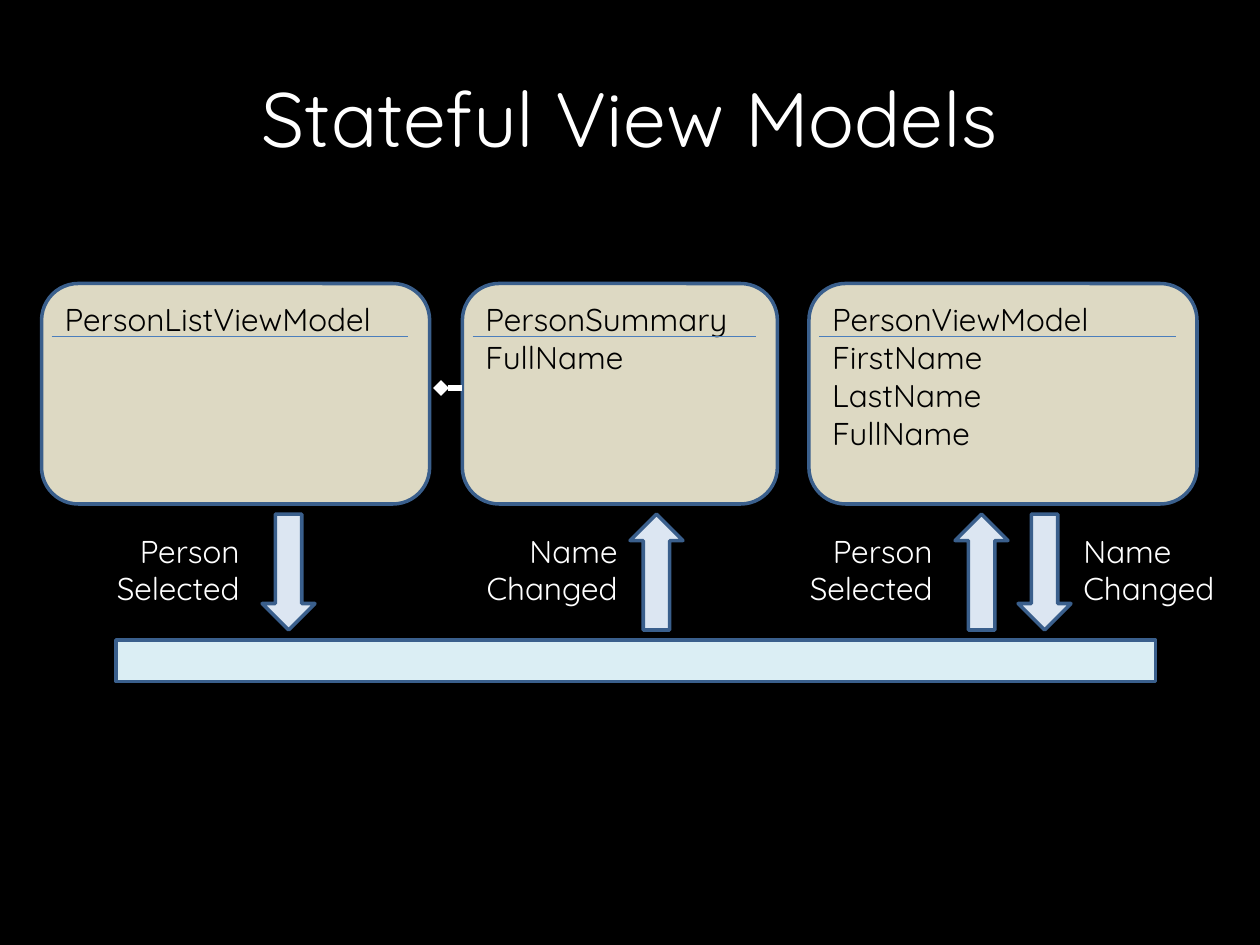
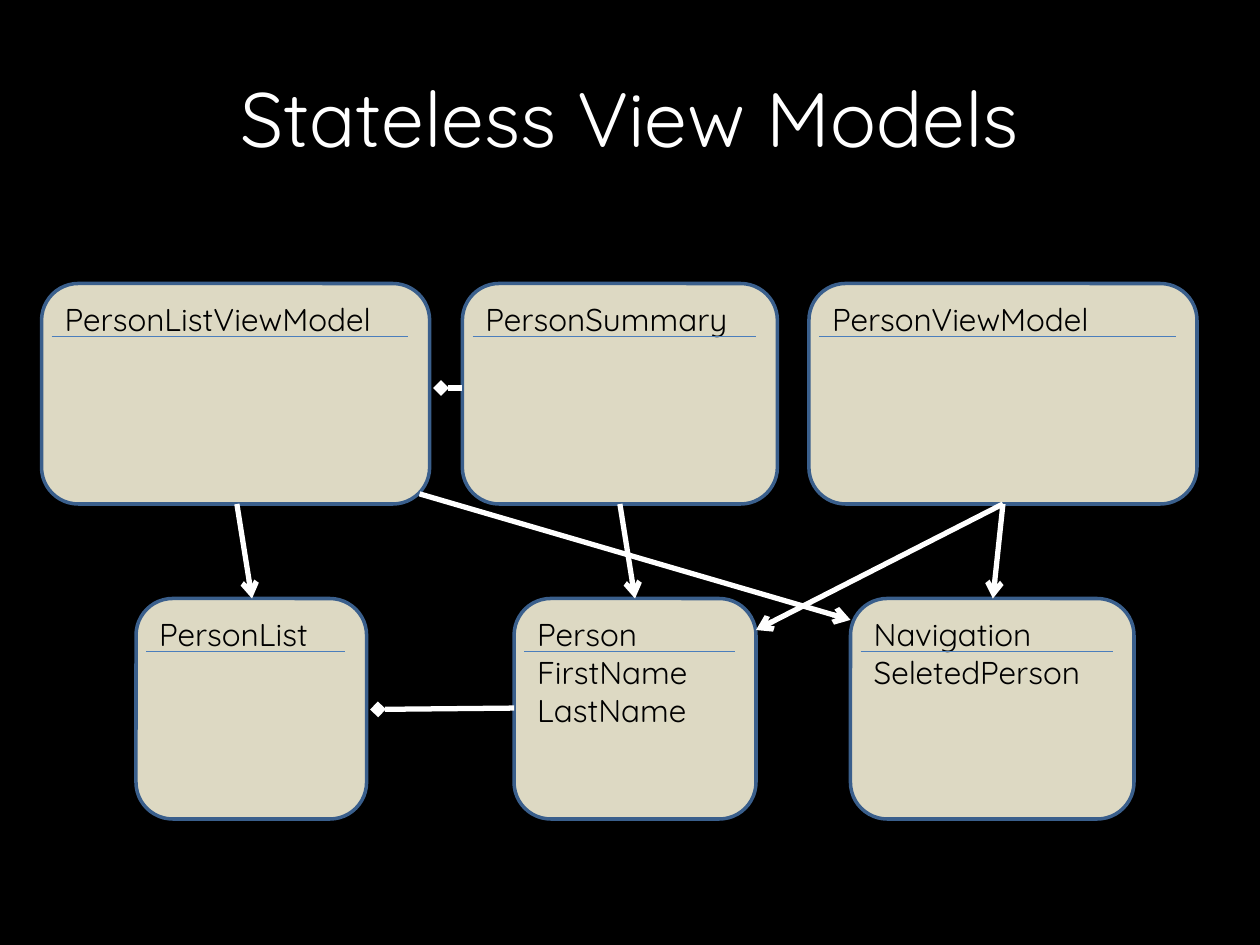
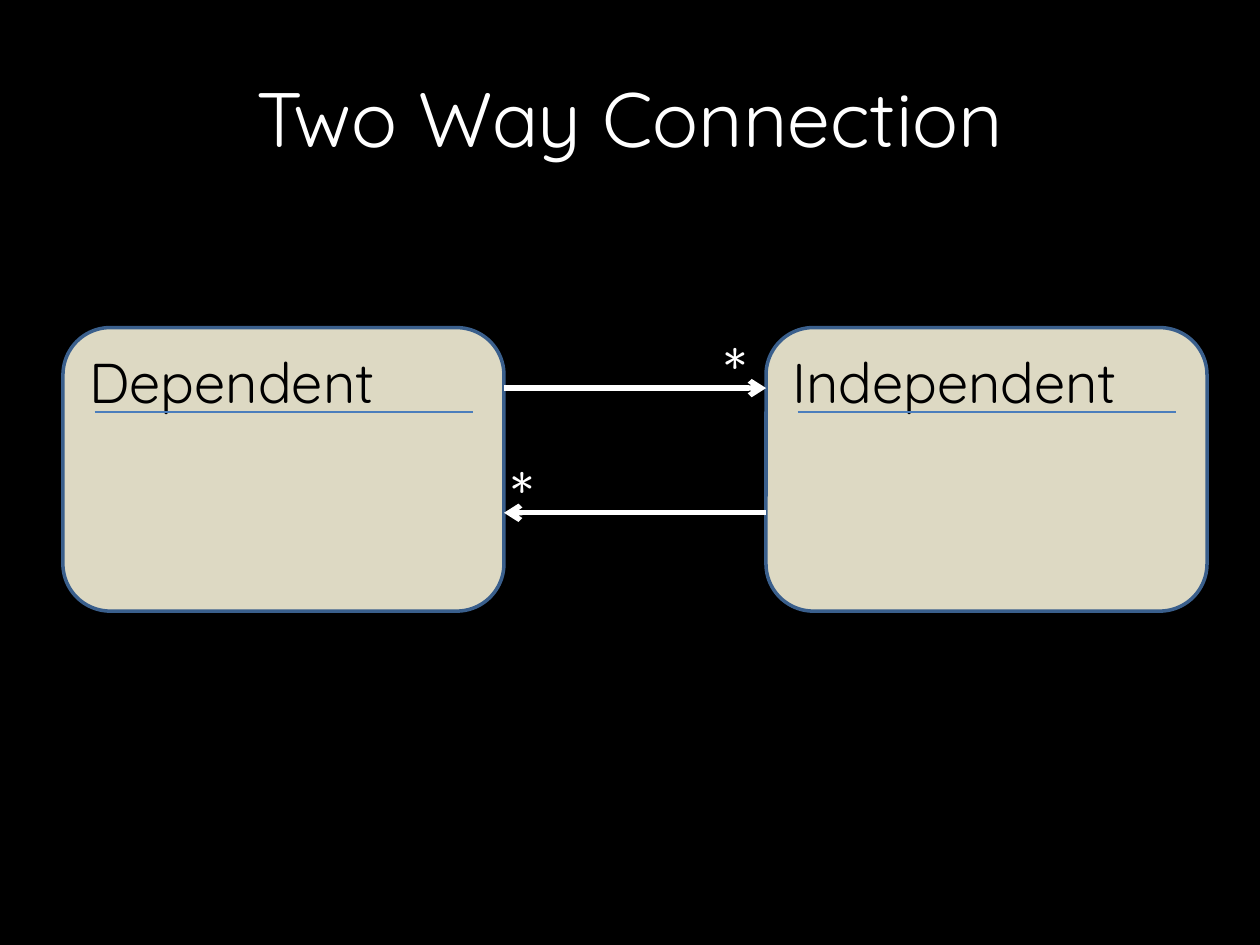
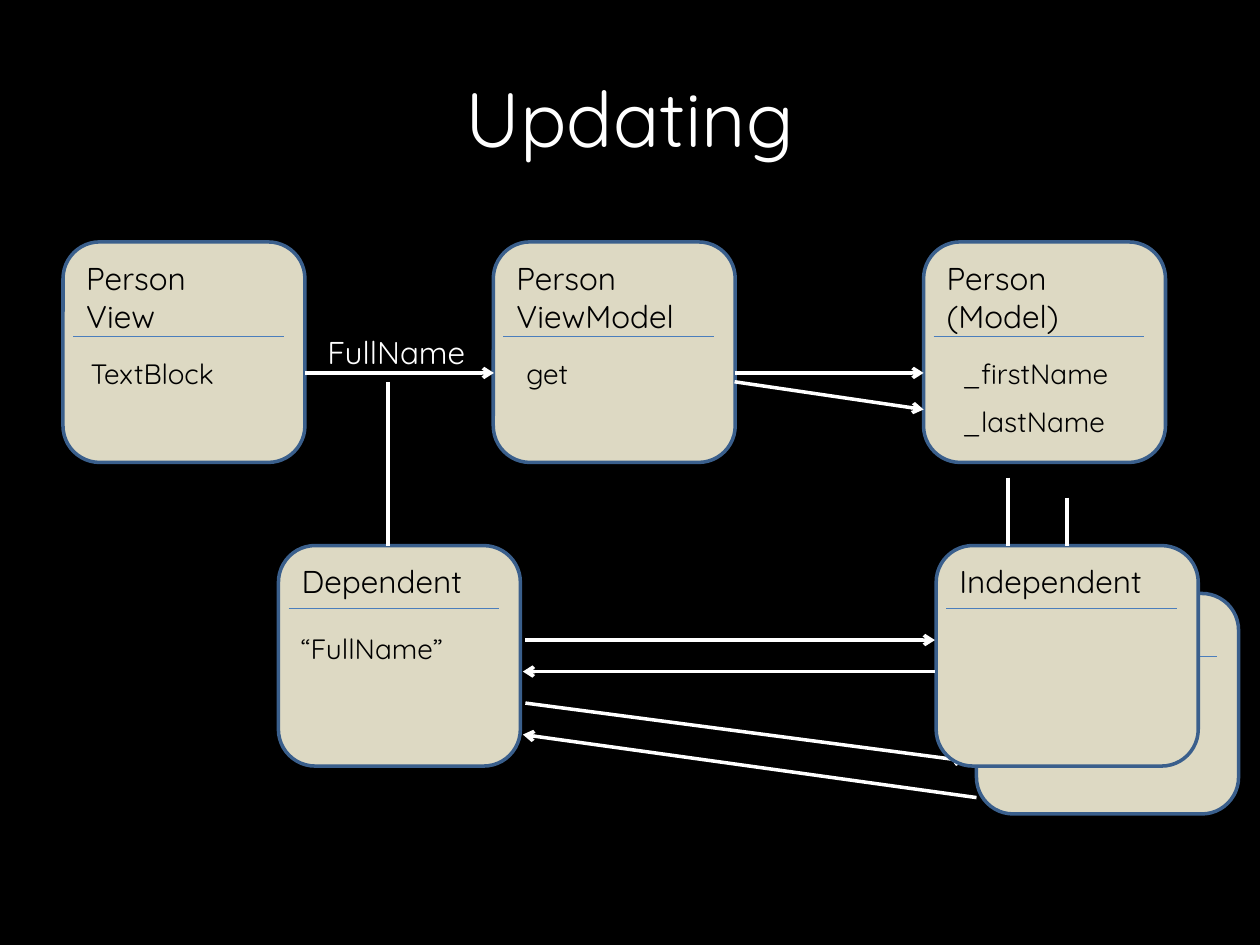
"""Build four slides that compare view models and explain dependency updates."""
from dataclasses import dataclass
from typing import Any, Sequence

import pptx
import pptx.dml.color
import pptx.enum.shapes
import pptx.enum.text
import pptx.oxml
import pptx.oxml.ns
import pptx.util

Inches = pptx.util.Inches
Pt = pptx.util.Pt
SHAPE = pptx.enum.shapes.MSO_SHAPE
ALIGN = pptx.enum.text.PP_ALIGN
ANCHOR = pptx.enum.text.MSO_ANCHOR

FONT = "Quicksand"
COLORS = {
    "background": "000000",
    "light": "FFFFFF",
    "dark": "000000",
    "box": "DDD9C3",
    "outline": "3A5F8C",
    "rule": "4B7EBC",
    "bus": "DBEEF4",
    "message": "DCE6F2",
}
TOP_ROW, MODEL_ROW = 2.25, 4.75
UPDATE_ROW, TRACK_ROW = 1.92, 4.33
BOX_HEIGHT = 1.75


@dataclass
class Box:
    left: float
    top: float
    width: float
    lines: Sequence[str]
    height: float = BOX_HEIGHT
    size: int = 18
    rule_drop: float = 0.42
    rule_start: float = 0.08
    rule_end: float = 0.17


@dataclass
class Link:
    x1: float
    y1: float
    x2: float
    y2: float
    head: str = ""
    tail: str = ""
    width: float = 3
    color: str = "light"


@dataclass
class Label:
    left: float
    top: float
    width: float
    height: float
    text: str
    size: int = 18
    color: str = "light"
    align: Any = ALIGN.LEFT
    fitted: bool = False


@dataclass
class Message:
    left: float
    label_left: float
    text: str
    up: bool = False
    align: Any = ALIGN.RIGHT


def rgb(name: str) -> Any:
    return pptx.dml.color.RGBColor.from_string(COLORS[name])


def write(tf: Any, lines: Sequence[str], *, size: int, color: str,
          align: Any = ALIGN.LEFT, anchor: Any = ANCHOR.TOP, wrap: bool = True) -> None:
    tf.word_wrap = wrap
    tf.vertical_anchor = anchor
    for i, line in enumerate(lines):
        p = tf.paragraphs[0] if i == 0 else tf.add_paragraph()
        p.alignment = align
        r = p.add_run()
        r.text = line
        r.font.name = FONT
        r.font.size = Pt(size)
        r.font.color.rgb = rgb(color)


def add_slide(prs: Any, title: str) -> Any:
    s = prs.slides.add_slide(prs.slide_layouts[5])
    sp = s.shapes.title
    sp.left, sp.top, sp.width, sp.height = map(Inches, (0.5, 0.3, 9, 1.25))
    write(sp.text_frame, [title], size=44, color="light",
          align=ALIGN.CENTER, anchor=ANCHOR.MIDDLE)
    return s


def draw_shape(s: Any, kind: Any, left: float, top: float, width: float,
               height: float, fill: str) -> Any:
    sp = s.shapes.add_shape(kind, *map(Inches, (left, top, width, height)))
    sp.shadow.inherit = False
    sp.fill.solid()
    sp.fill.fore_color.rgb = rgb(fill)
    sp.line.color.rgb = rgb("outline")
    sp.line.width = Pt(2)
    return sp


def draw_link(s: Any, link: Link) -> None:
    sp = s.shapes.add_connector(
        pptx.enum.shapes.MSO_CONNECTOR.STRAIGHT,
        *map(Inches, (link.x1, link.y1, link.x2, link.y2)))
    sp.line.color.rgb = rgb(link.color)
    sp.line.width = Pt(link.width)
    ln = sp.line._get_or_add_ln()
    for tag, end in (("a:headEnd", link.head), ("a:tailEnd", link.tail)):
        if end:
            ln.append(pptx.oxml.parse_xml(
                f'<{tag} {pptx.oxml.ns.nsdecls("a")} type="{end}"/>'))
    sp._element.spPr.append(pptx.oxml.parse_xml(
        f'<a:effectLst {pptx.oxml.ns.nsdecls("a")}/>'))


def draw_box(s: Any, box: Box) -> None:
    sp = draw_shape(s, SHAPE.ROUNDED_RECTANGLE, box.left, box.top,
                    box.width, box.height, "box")
    write(sp.text_frame, box.lines, size=box.size, color="dark")
    y = box.top + box.rule_drop
    draw_link(s, Link(box.left + box.rule_start, y,
                      box.left + box.width - box.rule_end, y,
                      width=0.75, color="rule"))


def draw_label(s: Any, label: Label) -> None:
    sp = s.shapes.add_textbox(
        *map(Inches, (label.left, label.top, label.width, label.height)))
    tf = sp.text_frame
    if label.fitted:
        tf.margin_left = tf.margin_right = tf.margin_top = tf.margin_bottom = 0
    write(tf, [label.text], size=label.size, color=label.color,
          align=label.align, wrap=not label.fitted)
    tf.auto_size = pptx.enum.text.MSO_AUTO_SIZE.SHAPE_TO_FIT_TEXT


def draw_message(s: Any, message: Message) -> None:
    sp = draw_shape(s, SHAPE.DOWN_ARROW, message.left, 4.08, 0.42, 0.92, "message")
    sp.rotation = 180 if message.up else 0
    draw_label(s, Label(message.label_left, 4.17, 1.5, 0.71, message.text,
                        align=message.align))


def draw_view_models(s: Any, summary: Sequence[str] = (),
                     person: Sequence[str] = ()) -> None:
    for left, width, lines in (
        (0.33, 3.08, ["PersonListViewModel"]),
        (3.67, 2.5, ["PersonSummary", *summary]),
        (6.42, 3.08, ["PersonViewModel", *person]),
    ):
        draw_box(s, Box(left, TOP_ROW, width, lines))
    draw_link(s, Link(3.5, 3.08, 3.67, 3.08, head="diamond"))


def stateful_slide(prs: Any) -> None:
    s = add_slide(prs, "Stateful View Models")
    draw_view_models(s, ["FullName"], ["FirstName", "LastName", "FullName"])
    draw_shape(s, SHAPE.RECTANGLE, 0.92, 5.08, 8.25, 0.33, "bus")
    for message in (
        Message(2.08, 0.5, "Person Selected"),
        Message(5, 3.5, "Name Changed", up=True),
        Message(7.58, 6, "Person Selected", up=True),
        Message(8.08, 8.5, "Name Changed", align=ALIGN.LEFT),
    ):
        draw_message(s, message)


def stateless_slide(prs: Any) -> None:
    s = add_slide(prs, "Stateless View Models")
    draw_view_models(s)
    for left, width, lines in (
        (1.08, 1.83, ["PersonList"]),
        (4.08, 1.92, ["Person", "FirstName", "LastName"]),
        (6.75, 2.25, ["Navigation", "SeletedPerson"]),
    ):
        draw_box(s, Box(left, MODEL_ROW, width, lines))
    for ends in (
        (1.88, 4, 2, MODEL_ROW),
        (7.96, 4, 6, 5),
        (4.92, 4, 5.04, MODEL_ROW),
        (7.96, 4, 7.88, MODEL_ROW),
        (3.33, 3.92, 6.75, 4.92),
    ):
        draw_link(s, Link(*ends, tail="arrow"))
    draw_link(s, Link(3, 5.63, 4.08, 5.62, head="diamond"))


def two_way_slide(prs: Any) -> None:
    s = add_slide(prs, "Two Way Connection")
    for left, name in ((0.5, "Dependent"), (6.08, "Independent")):
        draw_box(s, Box(left, 2.6, 3.5, [name], height=2.25, size=32,
                        rule_drop=0.67, rule_start=0.25, rule_end=0.25))
    for x1, x2, y in ((4, 6.08, 3.08), (6.08, 4, 4.07)):
        draw_link(s, Link(x1, y, x2, y, tail="arrow"))
    for left, top in ((5.75, 2.6), (4.06, 3.58)):
        draw_label(s, Label(left, top, 0.24, 0.67, "*", size=40, fitted=True))


def updating_slide(prs: Any) -> None:
    s = add_slide(prs, "Updating")
    draw_link(s, Link(4.17, 5.58, 7.67, 6.04, tail="arrow", width=2))
    for i, kind in enumerate(("View", "ViewModel", "(Model)")):
        draw_box(s, Box(0.5 + i * 3.415, UPDATE_ROW, 1.92, ["Person", kind],
                        rule_drop=0.75))
    for left, top, width, name in (
        (2.21, TRACK_ROW, 1.92, "Dependent"),
        (7.75, 4.71, 2.08, "Independent"),
        (7.43, TRACK_ROW, 2.08, "Independent"),
    ):
        draw_box(s, Box(left, top, width, [name], rule_drop=0.5))
    for left, top, width, member in (
        (0.62, 2.78, 1.25, "TextBlock"),
        (4.08, 2.78, 1.25, "get"),
        (7.54, 2.78, 1.42, "_firstName"),
        (7.54, 3.16, 1.42, "_lastName"),
        (2.29, 4.96, 1.5, "“FullName”"),
    ):
        draw_label(s, Label(left, top, width, 0.37, member, size=16, color="dark"))
    draw_label(s, Label(2.5, 2.59, 1.33, 0.4, "FullName"))
    for ends in (
        (2.42, 2.96, 3.92, 2.96),
        (5.83, 2.96, 7.33, 2.96),
        (5.83, 3.03, 7.33, 3.25),
        (4.17, 5.08, 7.42, 5.08),
        (7.42, 5.33, 4.15, 5.33),
        (7.75, 6.33, 4.15, 5.83),
    ):
        draw_link(s, Link(*ends, tail="arrow", width=2))
    for x, y in ((3.08, 3.03), (8, 3.79), (8.47, 3.95)):
        draw_link(s, Link(x, y, x, TRACK_ROW, width=2))


def main() -> None:
    prs = pptx.Presentation()
    prs.slide_width, prs.slide_height = Inches(10), Inches(7.5)
    fill = prs.slide_master.background.fill
    fill.solid()
    fill.fore_color.rgb = rgb("background")
    for build in (stateful_slide, stateless_slide, two_way_slide, updating_slide):
        build(prs)
    prs.save("out.pptx")


if __name__ == "__main__":
    main()
